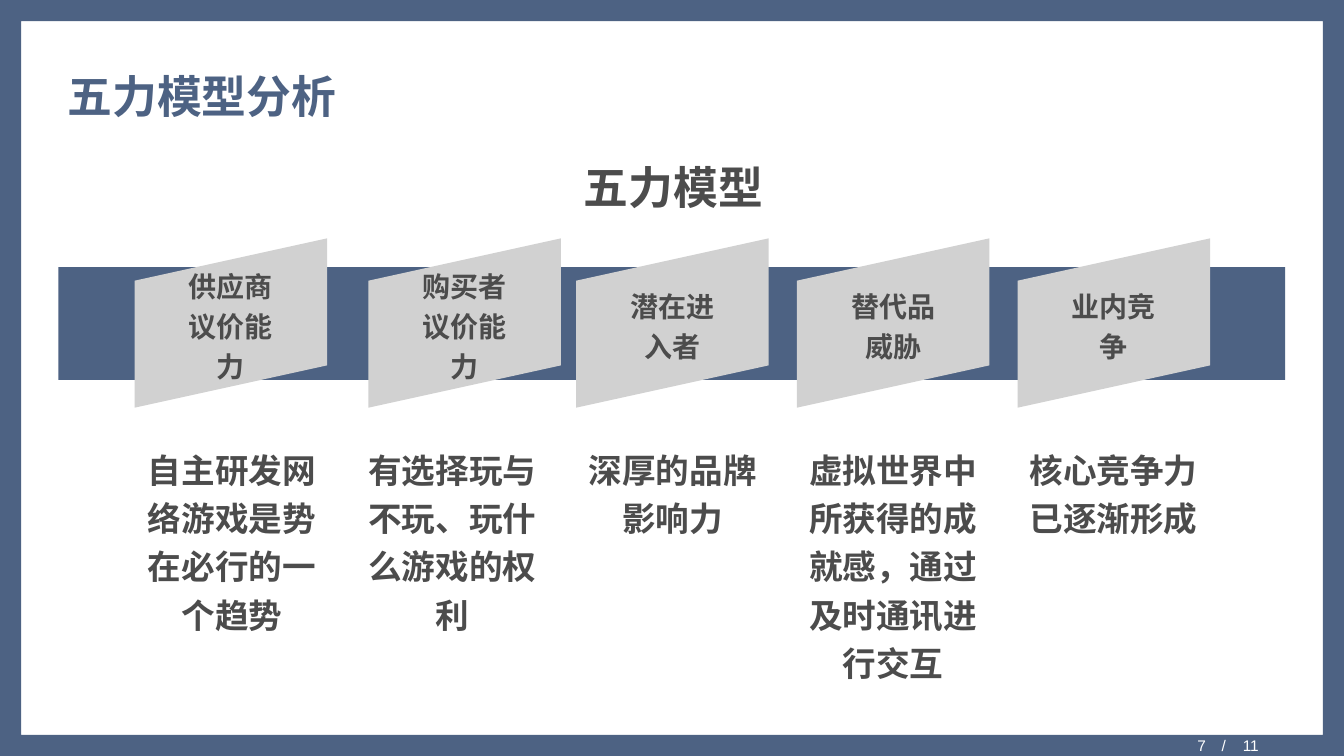
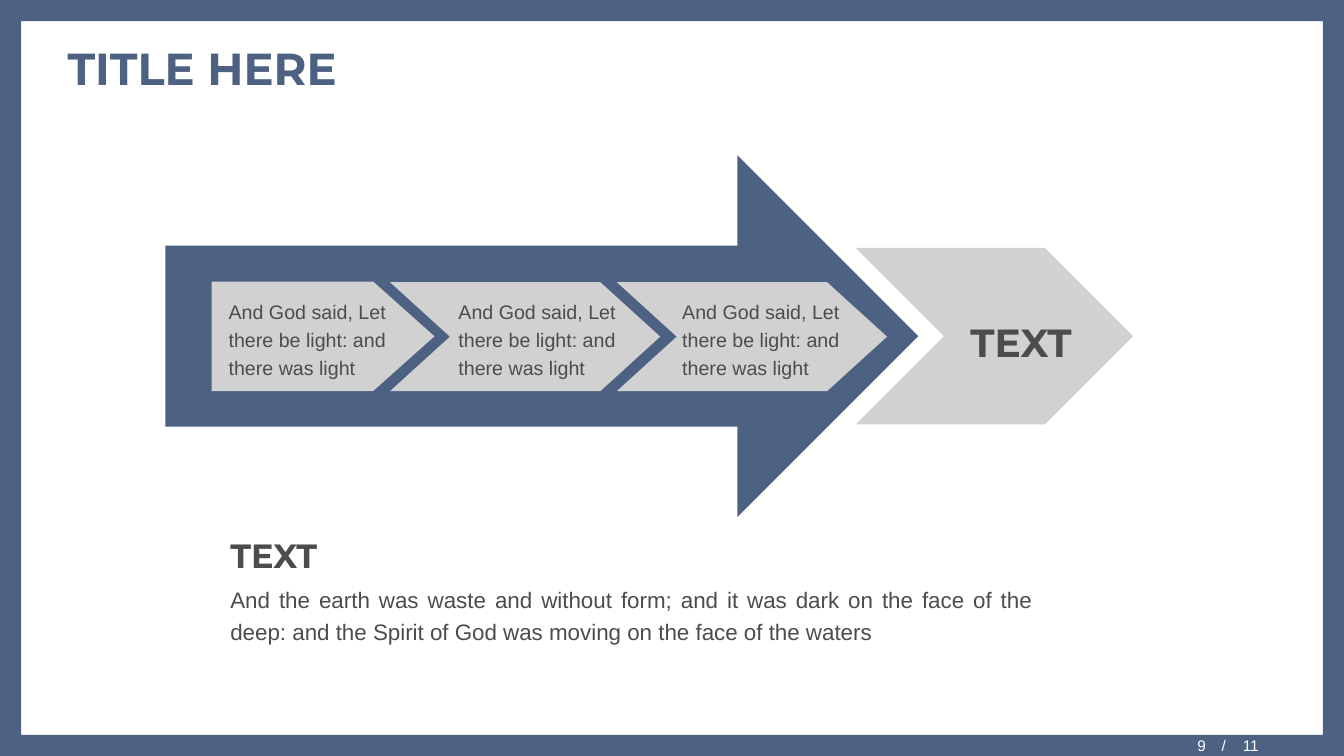
from dataclasses import dataclass
from typing import NamedTuple

from lxml.etree import SubElement
from pptx import Presentation
from pptx.dml.color import RGBColor
from pptx.enum.shapes import MSO_SHAPE as Preset
from pptx.enum.text import MSO_ANCHOR as Anchor, PP_ALIGN as Align
from pptx.oxml.ns import qn
from pptx.util import Emu, Pt

# Slide grid: square cells, three to the inch
CELL = 304800
COLUMNS, ROWS = 40, 22.5
FRAME_THICKNESS = 0.63
PAGE_TOTAL = 11

BLUE = RGBColor.from_string("4D6283")
GREY = RGBColor.from_string("D1D1D1")
INK = RGBColor.from_string("4C4C4C")
WHITE = RGBColor.from_string("FFFFFF")


class TextStyle(NamedTuple):
    size: int
    font: str
    color: RGBColor
    bold: bool = False


@dataclass(frozen=True)
class Theme:
    title: TextStyle = TextStyle(32, "Montserrat", BLUE, True)
    heading: TextStyle = TextStyle(32, "Montserrat", INK, True)
    goal: TextStyle = TextStyle(28, "Montserrat", INK, True)
    statement: TextStyle = TextStyle(24, "Montserrat", INK, True)
    force: TextStyle = TextStyle(20, "Montserrat", INK, True)
    body: TextStyle = TextStyle(16, "Arial", INK)
    step: TextStyle = TextStyle(14, "Arial", INK)
    page: TextStyle = TextStyle(11, "Arial", WHITE)
    line_spacing: float = 1.2
    paragraph_gap: Pt = Pt(2)


THEME = Theme()

FORCES = [  # label, sideways nudge of the label, finding
    ("供应商议价能力", 0, "自主研发网络游戏是势在必行的一个趋势"),
    ("购买者议价能力", 0.39, "有选择玩与不玩、玩什么游戏的权利"),
    ("潜在进入者", 0, "深厚的品牌影响力"),
    ("替代品威胁", 0, "虚拟世界中所获得的成就感，通过及时通讯进行交互"),
    ("业内竞争", 0, "核心竞争力已逐渐形成"),
]
STEP_TEXT = "And God said, Let there be light: and there was light"
STEP_TEXT_LEFTS = (6.51, 13.35, 20.01)
CLOSING_TEXT = (
    "And the earth was waste and without form; and it was dark on the face "
    "of the deep: and the Spirit of God was moving on the face of the waters"
)


def cells(*lengths):
    return [Emu(round(length * CELL)) for length in lengths]


def style_paragraph(paragraph, style, align):
    paragraph.alignment = align
    font = paragraph.font
    font.size, font.name, font.bold = Pt(style.size), style.font, style.bold
    font.color.rgb = style.color


def write(text_frame, lines, anchor=Anchor.TOP, wrap=True):
    """Fill a text frame with (text, style, alignment) lines."""
    text_frame.word_wrap = wrap
    text_frame.vertical_anchor = anchor
    for index, (text, style, align) in enumerate(lines):
        paragraph = text_frame.add_paragraph() if index else text_frame.paragraphs[0]
        paragraph.text = text
        paragraph.line_spacing = THEME.line_spacing
        paragraph.space_before = THEME.paragraph_gap if index else Pt(0)
        paragraph.space_after = THEME.paragraph_gap
        style_paragraph(paragraph, style, align)


def add_text(slide, box, *lines, **options):
    write(slide.shapes.add_textbox(*cells(*box)).text_frame, lines, **options)


def add_block(slide, preset, box, color, adjustment=None):
    shape = slide.shapes.add_shape(preset, *cells(*box))
    shape.shadow.inherit = False
    shape.fill.solid()
    shape.fill.fore_color.rgb = color
    shape.line.fill.background()
    if adjustment is not None:
        shape.adjustments[0] = adjustment
    return shape


def add_slanted_label(slide, box, text):
    """Parallelogram stood on its side, with its text kept upright."""
    shape = add_block(slide, Preset.PARALLELOGRAM, box, GREY)
    shape.rotation = 270
    shape.element.spPr.xfrm.set("flipV", "1")
    write(shape.text_frame, [(text, THEME.force, Align.CENTER)], Anchor.MIDDLE)
    shape.element.txBody.bodyPr.set("vert", "vert270")


def move_frame_to_layout(slide):
    """Draw the border once, on the layout that all slides share."""
    layout = slide.slide_layout
    for placeholder in list(layout.placeholders):
        if placeholder.placeholder_format.idx != 0:
            layout.shapes.element.remove(placeholder.element)
    frame = add_block(slide, Preset.FRAME, (0, 0, COLUMNS, ROWS), BLUE,
                      FRAME_THICKNESS / ROWS)
    layout.shapes.element.insert(2, frame.element)


def add_page_number(slide, number):
    box = slide.shapes.add_textbox(*cells(35.64, 21.9, 3, 0.54))
    frame = box.text_frame
    frame.margin_left = frame.margin_right = frame.margin_top = frame.margin_bottom = 0
    frame.vertical_anchor = Anchor.MIDDLE
    frame.word_wrap = True
    paragraph = frame.paragraphs[0]
    paragraph.text = f"{number}\t/\t{PAGE_TOTAL}"
    stops = SubElement(paragraph._p.get_or_add_pPr(), qn("a:tabLst"))
    for position in cells(0.72, 1.35):
        SubElement(stops, qn("a:tab"), pos=str(position), algn="l")
    style_paragraph(paragraph, THEME.page, Align.LEFT)


def add_titled_slide(presentation, title, title_top, number):
    slide = presentation.slides.add_slide(presentation.slide_layouts[5])
    shape = slide.shapes.title
    shape.left, shape.top, shape.width, shape.height = cells(1.71, title_top, 36.54, 2.37)
    shape.text_frame.text = title
    shape.text_frame.vertical_anchor = Anchor.MIDDLE
    style_paragraph(shape.text_frame.paragraphs[0], THEME.title, Align.LEFT)
    add_page_number(slide, number)
    return slide


def draw_five_forces(slide):
    add_block(slide, Preset.RECTANGLE, (1.74, 7.95, 36.51, 3.36), BLUE)
    add_text(slide, (17.04, 4.35, 6, 2.1), ("五力模型", THEME.heading, Align.CENTER),
             anchor=Anchor.MIDDLE, wrap=False)
    for index, (label, nudge, finding) in enumerate(FORCES):
        add_slanted_label(slide, (4.35 + 6.57 * index + nudge, 6.75, 5.04, 5.73), label)
        add_text(slide, (4.02 + 6.56 * index, 12.99, 5.76, 7.44),
                 (finding, THEME.statement, Align.CENTER))


def draw_arrow_process(slide):
    add_block(slide, Preset.RIGHT_ARROW, (4.92, 4.62, 22.41, 10.77), BLUE)
    add_block(slide, Preset.PENTAGON, (6.3, 8.38, 6.63, 3.26), GREY, 0.56)
    for index in range(2):
        add_block(slide, Preset.CHEVRON, (11.61 + 6.75 * index, 8.4, 8.04, 3.24), GREY, 0.55)
    for left in STEP_TEXT_LEFTS:
        add_text(slide, (left, 8.64, 6, 2.85), (STEP_TEXT, THEME.step, Align.LEFT))
    add_block(slide, Preset.CHEVRON, (25.47, 7.38, 8.25, 5.25), GREY, 0.5)
    add_text(slide, (28.35, 9.06, 4.08, 2.01), ("TEXT", THEME.goal, Align.CENTER), wrap=False)
    add_text(slide, (6.56, 15.53, 24.47, 4.25),
             ("TEXT", THEME.statement, Align.LEFT),
             (CLOSING_TEXT, THEME.body, Align.JUSTIFY))


def main():
    presentation = Presentation()
    presentation.slide_width, presentation.slide_height = cells(COLUMNS, ROWS)
    forces = add_titled_slide(presentation, "五力模型分析", 1.65, 7)
    process = add_titled_slide(presentation, "TITLE HERE", 0.84, 9)
    move_frame_to_layout(forces)
    draw_five_forces(forces)
    draw_arrow_process(process)
    presentation.save("out.pptx")


if __name__ == "__main__":
    main()
